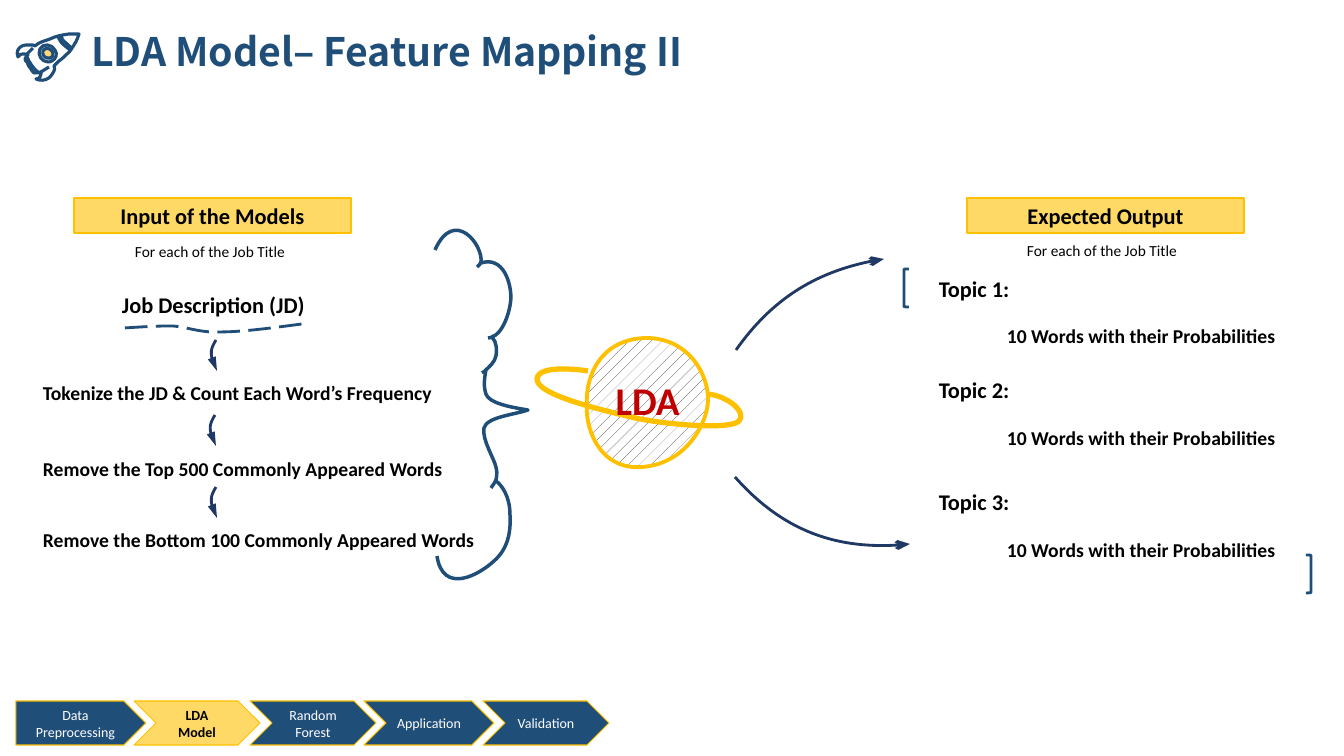
from dataclasses import dataclass
from lxml import etree
from pptx import Presentation
from pptx.dml.color import RGBColor
from pptx.enum.dml import MSO_LINE, MSO_PATTERN
from pptx.enum.shapes import MSO_SHAPE as SHAPE
from pptx.enum.text import MSO_ANCHOR as ANCHOR, MSO_AUTO_SIZE as FIT, PP_ALIGN as ALIGN
from pptx.oxml.ns import qn
from pptx.util import Pt


@dataclass(frozen=True)
class Theme:
    navy: str = "1F4E79"
    arrow: str = "203864"
    yellow: str = "FFD966"
    gold: str = "FFC000"
    red: str = "C00000"
    black: str = "000000"
    white: str = "FFFFFF"
    hatch: str = "34322F"
    porthole: str = "E7E4EA"
    glass: str = "FDD67A"
    head_font: str = "Noto Sans CJK JP"
    body_font: str = "Calibri"
    title: int = 28
    heading: int = 16
    step: int = 14
    note: int = 11
    nav: int = 10


T = Theme()
PX = 914400 / 100.8
rgb = RGBColor.from_string


def write(sp, text, size, color=T.black, bold=False, align=ALIGN.LEFT,
          anchor=ANCHOR.TOP, font=T.body_font):
    tf = sp.text_frame
    tf.word_wrap = True
    tf.auto_size = FIT.NONE
    tf.vertical_anchor = anchor
    p = tf.paragraphs[0]
    p.alignment = align
    r = p.add_run()
    r.text = text
    r.font.name, r.font.size, r.font.bold = font, Pt(size), bold
    r.font.color.rgb = rgb(color)


def curve(nums, color, width, fill=None, closed=False, head=None):
    """Freeform through a start point and cubic Bezier triples, in pixels."""
    pts = [(x * PX, y * PX) for x, y in zip(nums[::2], nums[1::2])]
    # Points on the curve give the freeform its tight frame
    frame = []
    for i in range(0, len(pts) - 1, 3):
        a, b, c, d = pts[i:i + 4]
        for t in (k / 12 for k in range(1, 13)):
            u = 1 - t
            frame.append([u**3 * a[n] + 3 * u * u * t * b[n] + 3 * u * t * t * c[n]
                          + t**3 * d[n] for n in (0, 1)])
    fb = s.shapes.build_freeform(*pts[0])
    fb.add_line_segments(frame, close=closed)
    sp = fb.convert_to_shape()
    # The outline itself is made of true Bezier segments
    outline = sp._element.find(".//" + qn("a:path"))
    for child in list(outline):
        outline.remove(child)
    for i, (x, y) in enumerate(pts):
        if i % 3 == 1 or i == 0:
            seg = etree.SubElement(outline, qn("a:cubicBezTo" if i else "a:moveTo"))
        etree.SubElement(seg, qn("a:pt"), x=str(round(x - sp.left)), y=str(round(y - sp.top)))
    if closed:
        etree.SubElement(outline, qn("a:close"))
    sp.shadow.inherit = False
    if fill:
        sp.fill.solid()
        sp.fill.fore_color.rgb = rgb(fill)
    else:
        sp.fill.background()
    sp.line.color.rgb = rgb(color)
    sp.line.width = Pt(width)
    if head:
        ln = sp._element.spPr.find(qn("a:ln"))
        etree.SubElement(ln, qn("a:headEnd"), type=head, len="lg")
    return sp


prs = Presentation()
prs.slide_width, prs.slide_height = round(1344 * PX), round(756 * PX)
s = prs.slides.add_slide(prs.slide_layouts[5])

# Title
title = s.shapes.title
title.left, title.top, title.width, title.height = (round(v * PX) for v in (81, 22, 810, 58))
write(title, "LDA Model– Feature Mapping II", T.title, T.navy, True,
      anchor=ANCHOR.MIDDLE, font=T.head_font)

# Rocket icon: window, body, then nose, fin and flame strokes
curve([52, 61, 56, 59, 58, 54, 55, 50, 52, 44, 43, 43, 40, 49, 37, 55, 42, 62, 48, 62,
       49, 62, 51, 62, 52, 61], T.navy, 2.25, T.porthole, True)
curve([50, 58, 53, 57, 54, 54, 52, 51, 50, 48, 45, 47, 43, 51, 42, 54, 44, 58, 48, 58,
       49, 58, 50, 58, 50, 58], T.navy, 2.25, T.glass, True)
curve([31, 45, 33, 45, 34, 45, 35, 46, 39, 42, 45, 41, 50, 39, 56, 36, 62, 35, 69, 34,
       72, 34, 76, 34, 79, 34, 79, 34, 77, 41, 74, 45, 72, 48, 70, 52, 67, 54,
       65, 56, 62, 59, 59, 61, 59, 61, 54, 66, 54, 66, 55, 67, 55, 70, 54, 71,
       53, 73, 52, 75, 50, 77, 48, 79, 44, 81, 39, 80, 38, 80, 37, 80, 36, 79,
       38, 79, 39, 78, 40, 77, 41, 76, 41, 75, 41, 74, 41, 74, 41, 72, 41, 72,
       39, 73, 37, 73, 34, 73, 33, 72, 31, 70, 31, 69, 29, 67, 28, 65, 27, 62,
       26, 62, 25, 60, 25, 59, 25, 58, 28, 55, 28, 55, 27, 54, 25, 54, 23, 54,
       22, 54, 19, 54, 18, 57, 16, 52, 18, 48, 22, 46, 24, 45, 26, 45, 29, 45,
       29, 45, 30, 45, 31, 45], T.navy, 2.25, closed=True)
for stroke in ([61, 35, 61, 38, 63, 41, 66, 43, 68, 45, 70, 47, 72, 48],
               [58, 36, 59, 39, 61, 43, 64, 45, 65, 46, 69, 49, 70, 50],
               [27, 54, 29, 52, 31, 50, 33, 48],
               [41, 72, 44, 70, 46, 69, 49, 67],
               [26, 56, 28, 57, 28, 60, 29, 61, 31, 64, 32, 66, 33, 67, 35, 69, 36, 71, 38, 72]):
    curve(stroke, T.navy, 2.25)

# Hand-drawn brace with its pen overshoots
curve([435, 250, 454, 207, 484, 245, 481, 263, 503, 256, 511, 282, 511, 298,
       510, 314, 502, 334, 492, 337, 497, 342, 497, 351, 496, 356,
       495, 362, 489, 367, 486, 370, 485, 376, 483, 385, 486, 394,
       489, 403, 509, 407, 528, 410, 513, 415, 487, 417, 484, 428,
       482, 440, 494, 458, 496, 467, 498, 475, 496, 478, 496, 481,
       502, 485, 510, 497, 510, 514, 511, 530, 509, 548, 494, 561,
       479, 575, 443, 595, 437, 556], T.navy, 2.5)
for tick in ([477, 267, 479, 266, 480, 264, 481, 262], [491, 488, 493, 485, 495, 483, 496, 480],
             [482, 373, 484, 372, 485, 371, 486, 370], [488, 338, 491, 338, 493, 337, 494, 336]):
    curve(tick, T.navy, 2.5)

# Planet and ring
planet = curve([708, 400, 709, 378, 691, 338, 646, 338, 601, 339, 585, 376, 587, 405,
                585, 427, 599, 471, 643, 467, 688, 463, 708, 421, 708, 400],
               T.gold, 2.75, closed=True)
planet.fill.patterned()
planet.fill.pattern = MSO_PATTERN.PERCENT_10
planet.fill.fore_color.rgb = rgb(T.hatch)
planet.fill.back_color.rgb = rgb(T.white)
curve([707, 394, 729, 396, 747, 413, 739, 421, 731, 430, 668, 425, 635, 418,
       602, 410, 536, 395, 537, 379, 538, 363, 588, 371, 588, 371], T.gold, 3.75)

# Arrows to the output, underline and arrows between the steps
curve([884, 259, 823, 268, 772, 299, 736, 350], T.arrow, 2, head="arrow")
curve([910, 544, 841, 552, 781, 529, 735, 477], T.arrow, 2, head="arrow")
underline = curve([125, 328, 141, 327, 156, 326, 172, 326, 188, 327, 199, 333, 221, 332,
                   242, 332, 272, 328, 302, 324], T.navy, 2)
underline.line.dash_style = MSO_LINE.LONG_DASH
for x, y in ((216, 340), (215, 415), (216, 487)):
    curve([x + 1, y + 31, x - 6, y + 21, x - 6, y + 10, x, y], T.arrow, 2, head="triangle")

# Headings, brackets and navigation: kind, box, text, size, fill, line, line width, bold
presets = [
    (SHAPE.RECTANGLE, (74, 198, 277, 35), "Input of the Models", T.heading, T.yellow, T.gold, 1, True),
    (SHAPE.RECTANGLE, (967, 198, 277, 35), "Expected Output", T.heading, T.yellow, T.gold, 1, True),
    (SHAPE.LEFT_BRACKET, (904, 269, 5, 38), "", 0, None, T.navy, 2, False),
    (SHAPE.RIGHT_BRACKET, (1306, 555, 5, 38), "", 0, None, T.navy, 2, False),
]
for x, w, label in ((16, 130, "Data Preprocessing"), (134, 126, "LDA Model"),
                    (250, 126, "Random Forest"), (364, 130, "Application"),
                    (483, 126, "Validation")):
    current = label == "LDA Model"
    presets.append((SHAPE.PENTAGON if x == 16 else SHAPE.CHEVRON, (x, 701, w, 44),
                    label, T.nav, T.yellow if current else T.navy, T.gold, 0.75, current))
for kind, box, text, size, fill, line, width, bold in presets:
    sp = s.shapes.add_shape(kind, *(round(v * PX) for v in box))
    sp.shadow.inherit = False
    sp.line.color.rgb = rgb(line)
    sp.line.width = Pt(width)
    if fill:
        sp.fill.solid()
        sp.fill.fore_color.rgb = rgb(fill)
    else:
        sp.fill.background()
    if text:
        write(sp, text, size, T.white if fill == T.navy else T.black, bold, ALIGN.CENTER, ANCHOR.MIDDLE)

# Labels: box, text, size, bold
labels = [((x, y, 176, 29), "For each of the Job Title", T.note, False)
          for x, y in ((125, 237), (1017, 236))]
labels += [((112, 286, 222, 37), "Job Description (JD)", T.heading, True),
           ((33, 376, 437, 34), "Tokenize the JD & Count Each Word’s Frequency", T.step, True),
           ((33, 452, 437, 34), "Remove the Top 500 Commonly Appeared Words", T.step, True),
           ((33, 523, 456, 34), "Remove the Bottom 100 Commonly Appeared Words", T.step, True)]
for n, (topic_y, words_y) in enumerate(((270, 319), (371, 421), (483, 533)), 1):
    labels += [((929, topic_y, 222, 37), f"Topic {n}:", T.heading, True),
               ((997, words_y, 290, 34), "10 Words with their Probabilities", T.step, True)]
for box, text, size, bold in labels:
    write(s.shapes.add_textbox(*(round(v * PX) for v in box)), text, size, bold=bold)
lda = s.shapes.add_textbox(*(round(v * PX) for v in (593, 371, 109, 89)))
write(lda, "LDA", T.title, T.red, True, ALIGN.CENTER)

prs.save("out.pptx")
